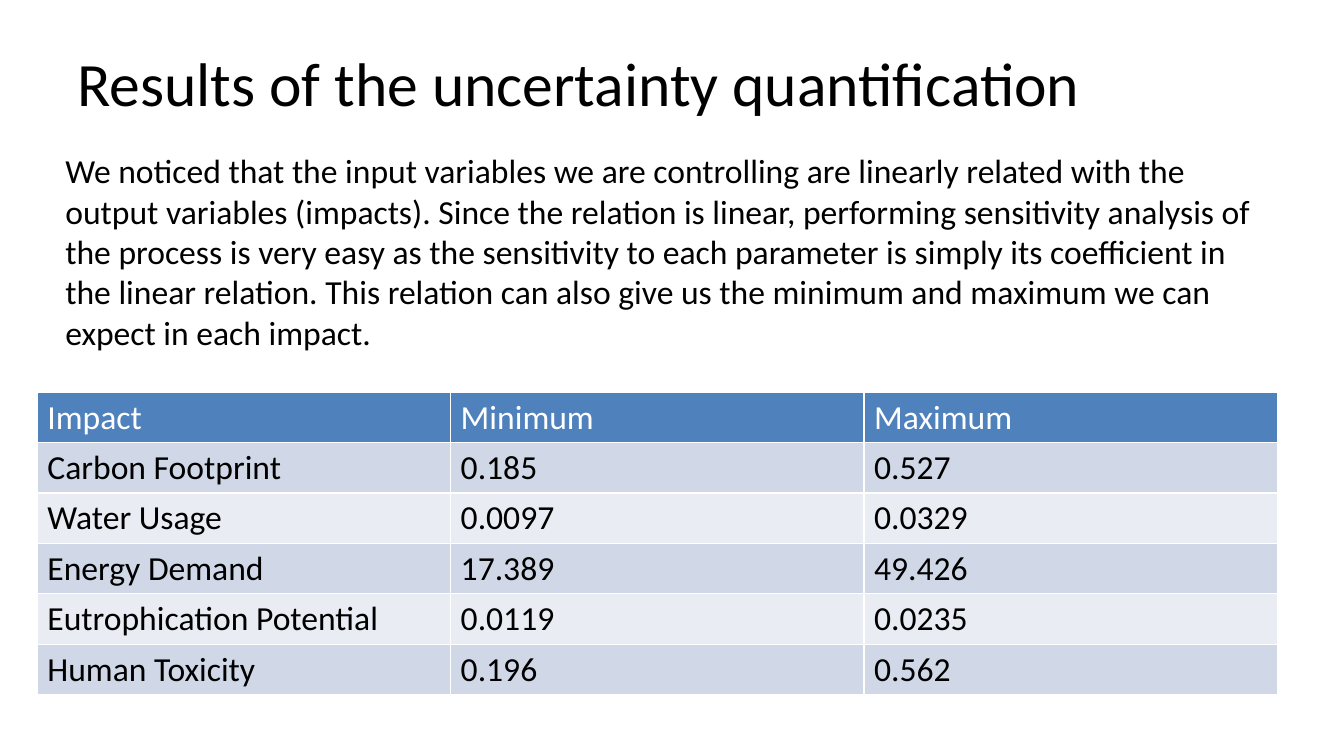
import pptx
import pptx.dml.color
import pptx.enum.text
import pptx.oxml
import pptx.oxml.ns
import pptx.util

WIDTH, HEIGHT = 13.33, 7.5
THEME = {
    "font": "Calibri", "title": 44, "body": 24,
    "dark": "000000", "light": "FFFFFF",
    "header": "4F81BD", "bands": ("D0D8E7", "E9ECF3"),
    "rule": "FFFFFF", "rule_width": 0.96,
}


def write(frame, text, size=THEME["body"], color=THEME["dark"], before=0,
          anchor=pptx.enum.text.MSO_ANCHOR.TOP):
    frame.word_wrap = True
    frame.vertical_anchor = anchor
    paragraph = frame.paragraphs[0]
    paragraph.alignment = pptx.enum.text.PP_ALIGN.LEFT
    paragraph.space_before = pptx.util.Pt(before)
    run = paragraph.add_run()
    run.text = text
    run.font.name = THEME["font"]
    run.font.size = pptx.util.Pt(size)
    run.font.color.rgb = pptx.dml.color.RGBColor.from_string(color)


def inches(*lengths):
    return [pptx.util.Inches(length) for length in lengths]


presentation = pptx.Presentation()
presentation.slide_width, presentation.slide_height = inches(WIDTH, HEIGHT)
slide = presentation.slides.add_slide(presentation.slide_layouts[6])

# Title
title = slide.shapes.add_textbox(
    *inches(WIDTH * 0.05, HEIGHT * 0.025, WIDTH * 0.9, HEIGHT / 6))
write(title.text_frame, "Results of the uncertainty quantification",
      size=THEME["title"], anchor=pptx.enum.text.MSO_ANCHOR.MIDDLE)

# Table of impacts
impacts = [
    ("Impact", "Minimum", "Maximum"),
    ("Carbon Footprint", "0.185", "0.527"),
    ("Water Usage", "0.0097", "0.0329"),
    ("Energy Demand", "17.389", "49.426"),
    ("Eutrophication Potential", "0.0119", "0.0235"),
    ("Human Toxicity", "0.196", "0.562"),
]
column_width, row_height = 4.1, 0.48
impact_table = slide.shapes.add_table(
    len(impacts), len(impacts[0]),
    *inches(0.37, 3.89, column_width * len(impacts[0]),
            row_height * len(impacts))).table

for row, values in enumerate(impacts):
    fill = THEME["bands"][(row - 1) % 2] if row else THEME["header"]
    for column, value in enumerate(values):
        cell = impact_table.cell(row, column)
        write(cell.text_frame, value,
              color=THEME["dark"] if row else THEME["light"])
        # Borders come before the fill in the cell properties
        properties = cell._tc.get_or_add_tcPr()
        for side in ("lnL", "lnR", "lnT", "lnB"):
            properties.append(pptx.oxml.parse_xml(
                f'<a:{side} {pptx.oxml.ns.nsdecls("a")} '
                f'w="{pptx.util.Pt(THEME["rule_width"])}"><a:solidFill>'
                f'<a:srgbClr val="{THEME["rule"]}"/></a:solidFill></a:{side}>'))
        cell.fill.solid()
        cell.fill.fore_color.rgb = pptx.dml.color.RGBColor.from_string(fill)

# Explanation
explanation = slide.shapes.add_textbox(
    *inches(0.55, 1.44, WIDTH * 0.9, HEIGHT * 0.1))
write(explanation.text_frame,
      "We noticed that the input variables we are controlling are linearly "
      "related with the output variables (impacts). Since the relation is "
      "linear, performing sensitivity analysis of the process is very easy as "
      "the sensitivity to each parameter is simply its coefficient in the "
      "linear relation. This relation can also give us the minimum and maximum "
      "we can expect in each impact.", before=4.8)

presentation.save("out.pptx")
